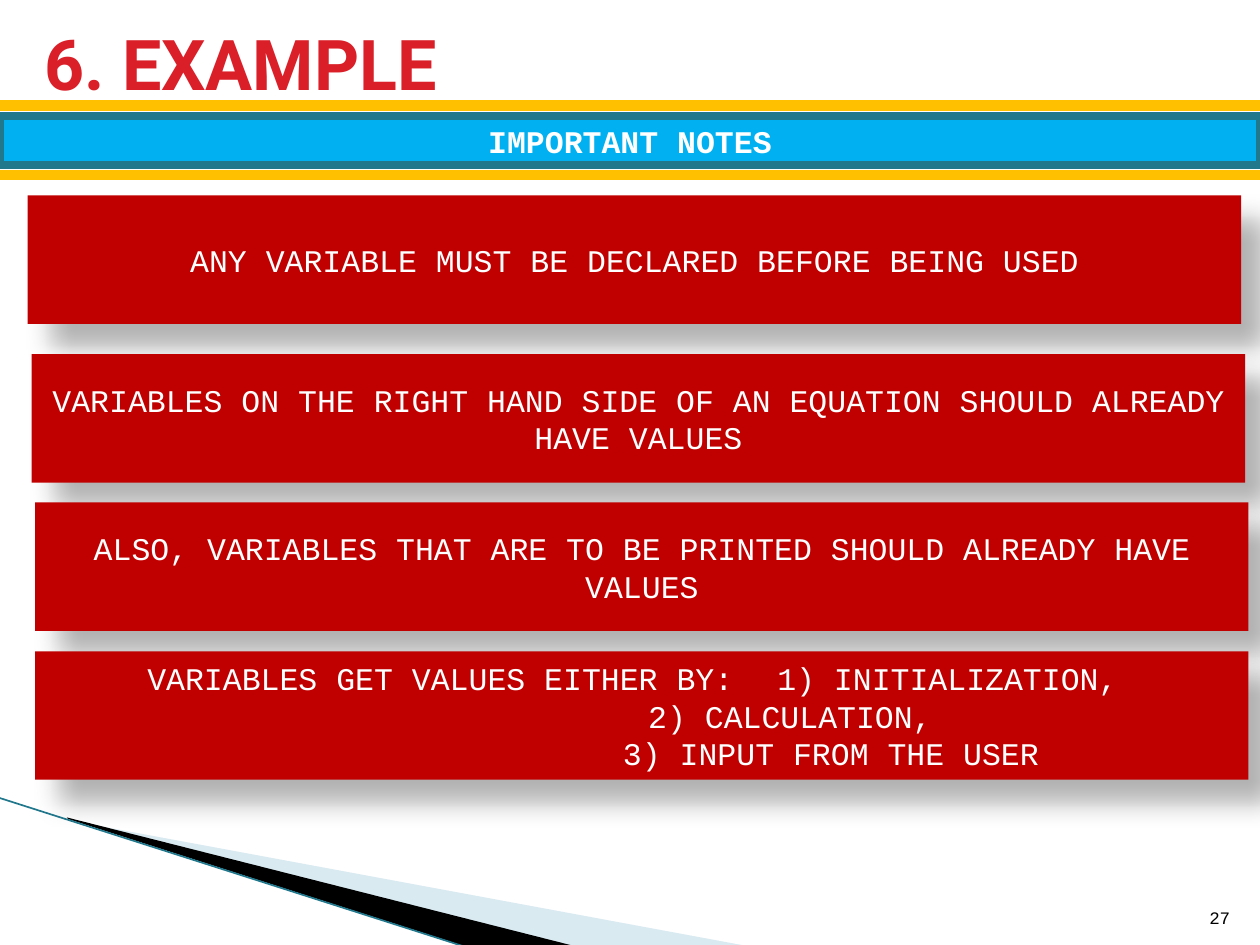
"""Build the "Important notes" slide of a programming lecture."""
from typing import NamedTuple

from lxml import etree
from pptx import Presentation
from pptx.dml.color import RGBColor
from pptx.enum.shapes import MSO_CONNECTOR, MSO_SHAPE
from pptx.enum.text import MSO_ANCHOR, PP_ALIGN
from pptx.oxml.ns import qn
from pptx.shapes.autoshape import Shape
from pptx.slide import Slide
from pptx.util import Cm, Pt

STRAIGHT = MSO_CONNECTOR.STRAIGHT
RECTANGLE = MSO_SHAPE.RECTANGLE
MIDDLE, BOTTOM = MSO_ANCHOR.MIDDLE, MSO_ANCHOR.BOTTOM
LEFT, CENTER, RIGHT = PP_ALIGN.LEFT, PP_ALIGN.CENTER, PP_ALIGN.RIGHT

WHITE = RGBColor(0xFF, 0xFF, 0xFF)
BLACK = RGBColor(0x00, 0x00, 0x00)
TITLE_RED = RGBColor(0xDA, 0x1F, 0x28)
NOTE_RED = RGBColor(0xC0, 0x00, 0x00)
GOLD = RGBColor(0xFF, 0xC0, 0x00)
SKY = RGBColor(0x00, 0xB0, 0xF0)
TEAL = RGBColor(0x21, 0x78, 0x8D)
PALE_BLUE = RGBColor(0xA0, 0xCB, 0xDC)

SLIDE_WIDTH, SLIDE_HEIGHT = 25.4, 19.05
NOTE_WIDTH, NOTE_HEIGHT = 24.46, 2.59

TITLE_FONT = {"name": "Roboto", "size": Pt(40), "bold": True}
BANNER_FONT = {"name": "Courier New", "size": Pt(18), "bold": True}
NOTE_FONT = {"name": "Courier New", "size": Pt(18), "bold": False}
NUMBER_FONT = {"name": "Courier New", "size": Pt(10), "bold": False}


class Box(NamedTuple):
    left: float
    top: float
    width: float
    height: float


class Note(NamedTuple):
    left: float
    top: float
    lines: tuple[str, ...]


class Wedge(NamedTuple):
    points: tuple[tuple[float, float], ...]
    color: RGBColor
    opacity: int


class Rule(NamedTuple):
    start: tuple[float, float]
    end: tuple[float, float]
    color: RGBColor
    weight: float


WEDGES = (
    Wedge(((1.4, 16.54), (15.11, 19.08), (11.58, 19.08), (1.4, 16.51)), PALE_BLUE, 40),
    Wedge(((1.35, 16.48), (11.61, 19.08), (9.45, 19.1), (1.37, 16.51)), BLACK, 100),
)
CORNER_RULE = Rule((-0.03, 16.08), (9.42, 19.1), TEAL, 0.95)
BANNER_RULES = [Rule((0, y), (SLIDE_WIDTH, y), GOLD, 6) for y in (2.13, 3.53)]
NOTES = (
    Note(0.56, 3.94, ("ANY VARIABLE MUST BE DECLARED BEFORE BEING USED",)),
    Note(0.64, 7.14, ("VARIABLES ON THE RIGHT HAND SIDE OF AN EQUATION SHOULD ALREADY HAVE VALUES",)),
    Note(0.71, 10.13, ("ALSO, VARIABLES THAT ARE TO BE PRINTED SHOULD ALREADY HAVE VALUES",)),
    Note(0.71, 13.13, (
        "VARIABLES GET VALUES EITHER BY: \t1) INITIALIZATION, ",
        "\t\t\t\t\t2) CALCULATION, ",
        "\t\t\t\t\t\t3) INPUT FROM THE USER",
    )),
)


def write(shape: Shape, lines: tuple[str, ...], font: dict, color: RGBColor,
          align: PP_ALIGN, anchor: MSO_ANCHOR = MIDDLE) -> None:
    frame = shape.text_frame
    frame.word_wrap = True
    frame.vertical_anchor = anchor
    for index, line in enumerate(lines):
        paragraph = frame.add_paragraph() if index else frame.paragraphs[0]
        paragraph.alignment = align
        run = paragraph.add_run()
        run.text = line
        for attribute, value in font.items():
            setattr(run.font, attribute, value)
        run.font.color.rgb = color


def add_label(slide: Slide, box: Box, text: str, font: dict, color: RGBColor,
              align: PP_ALIGN, anchor: MSO_ANCHOR) -> None:
    label = slide.shapes.add_textbox(*map(Cm, box))
    write(label, (text,), font, color, align, anchor)


def add_panel(slide: Slide, box: Box, fill: RGBColor) -> Shape:
    panel = slide.shapes.add_shape(RECTANGLE, *map(Cm, box))
    panel.shadow.inherit = False
    panel.fill.solid()
    panel.fill.fore_color.rgb = fill
    panel.line.fill.background()
    return panel


def set_opacity(color_element: etree._Element, percent: int) -> None:
    etree.SubElement(color_element, qn("a:alpha"), val=str(percent * 1000))


def add_note(slide: Slide, note: Note) -> None:
    panel = add_panel(slide, Box(note.left, note.top, NOTE_WIDTH, NOTE_HEIGHT), NOTE_RED)
    effects = panel.element.spPr.find(qn("a:effectLst"))
    shadow = etree.SubElement(
        effects, qn("a:outerShdw"), blurRad=str(Pt(15)), dist=str(Pt(18)),
        dir=str(45 * 60000), algn="tl", rotWithShape="0")
    set_opacity(etree.SubElement(shadow, qn("a:srgbClr"), val=str(BLACK)), 30)
    write(panel, note.lines, NOTE_FONT, WHITE, CENTER)


def add_wedge(slide: Slide, wedge: Wedge) -> None:
    start, *others = [(Cm(x), Cm(y)) for x, y in wedge.points]
    builder = slide.shapes.build_freeform(*start)
    builder.add_line_segments(others, close=True)
    outline = builder.convert_to_shape()
    outline.shadow.inherit = False
    outline.fill.solid()
    outline.fill.fore_color.rgb = wedge.color
    outline.line.fill.background()
    if wedge.opacity < 100:
        set_opacity(outline.element.spPr.find(f".//{qn('a:srgbClr')}"), wedge.opacity)


def add_rule(slide: Slide, rule: Rule) -> None:
    connector = slide.shapes.add_connector(STRAIGHT, *map(Cm, rule.start + rule.end))
    connector.line.color.rgb = rule.color
    connector.line.width = Pt(rule.weight)
    etree.SubElement(connector.element.spPr, qn("a:effectLst"))


def add_banner(slide: Slide) -> None:
    banner = add_panel(slide, Box(0, 2.34, SLIDE_WIDTH, 0.99), SKY)
    banner.line.color.rgb = TEAL
    banner.line.width = Pt(4.33)
    write(banner, ("IMPORTANT NOTES",), BANNER_FONT, WHITE, CENTER)


def main() -> None:
    presentation = Presentation()
    presentation.slide_width = Cm(SLIDE_WIDTH)
    presentation.slide_height = Cm(SLIDE_HEIGHT)
    slide = presentation.slides.add_slide(presentation.slide_layouts[6])
    for wedge in WEDGES:
        add_wedge(slide, wedge)
    add_rule(slide, CORNER_RULE)
    add_label(slide, Box(24.03, 17.81, 1.02, 1.02), "27", NUMBER_FONT, BLACK, RIGHT, BOTTOM)
    add_label(slide, Box(0.64, 0.43, 24.05, 1.65), "6. EXAMPLE", TITLE_FONT, TITLE_RED, LEFT, MIDDLE)
    for rule in BANNER_RULES:
        add_rule(slide, rule)
    add_banner(slide)
    for note in NOTES:
        add_note(slide, note)
    presentation.save("out.pptx")


if __name__ == "__main__":
    main()
